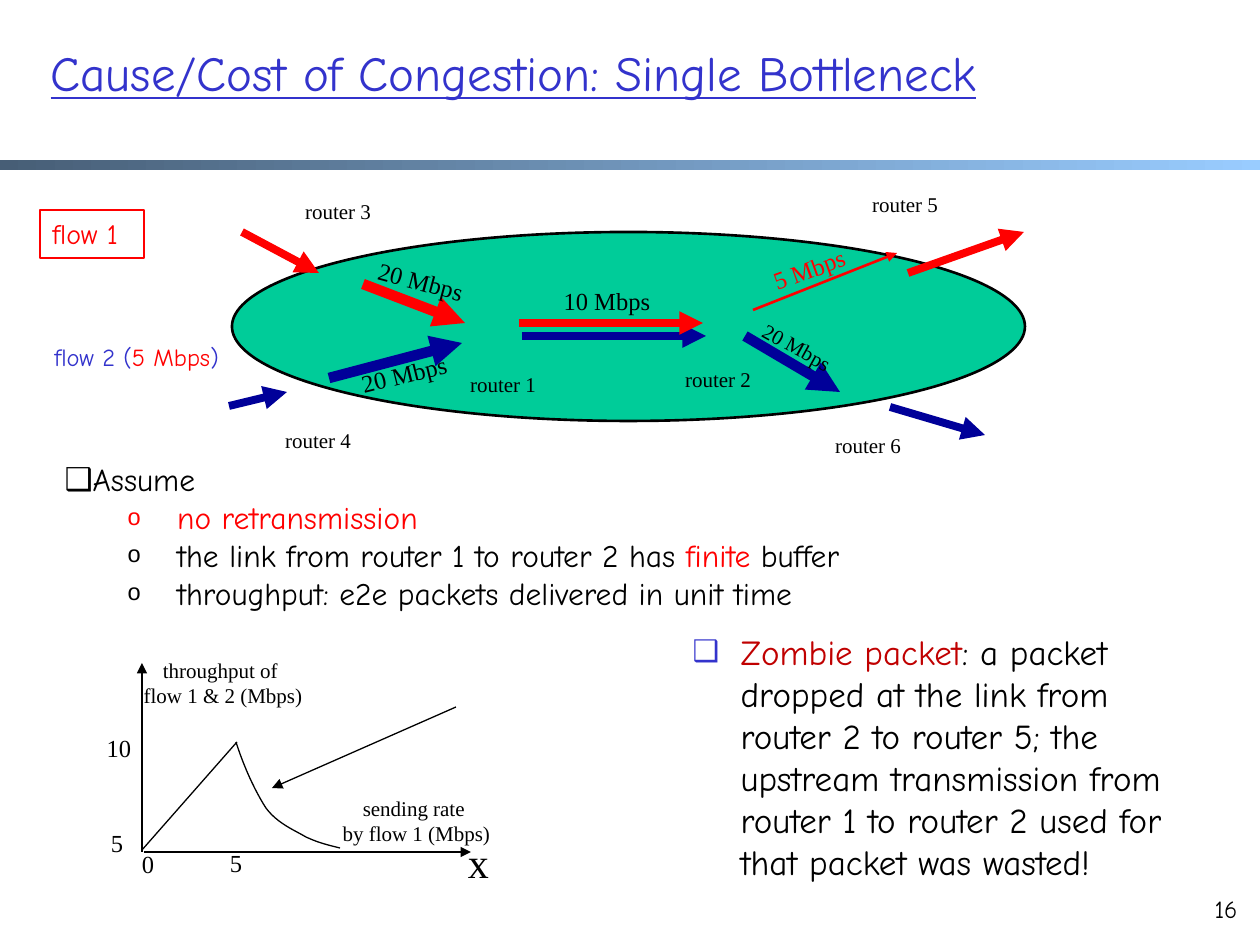
"""Build the single bottleneck congestion slide."""
import copy

import pptx
import pptx.dml.color
import pptx.enum.shapes
import pptx.enum.text
import pptx.oxml.ns
import pptx.oxml.xmlchemy
import pptx.util

SCALE = 914400 / 126
HUES = {"red": "FF0000", "navy": "000099", "blue": "3333CC", "green": "00CC99",
        "black": "000000", "wine": "C00000", "slate": "475E76", "sky": "99CCFF"}
ALIGN = pptx.enum.text.PP_ALIGN
FIT = pptx.enum.text.MSO_AUTO_SIZE
ANCHOR = pptx.enum.text.MSO_ANCHOR
KIND = pptx.enum.shapes.MSO_SHAPE
ROMAN, COMIC = "Times New Roman", "Comic Neue"


def emu(px):
    return int(px * SCALE)


def hue(name):
    return pptx.dml.color.RGBColor.from_string(HUES[name])


def put(item, **vals):
    for key, val in vals.items():
        setattr(item, key, val)


def add(home, tag, **vals):
    node = pptx.oxml.xmlchemy.OxmlElement(tag)
    for key, val in vals.items():
        node.set(key, str(val))
    home.append(node)
    return node


class Deck:
    def __init__(self):
        self.show = pptx.Presentation()
        put(self.show, slide_width=emu(1260), slide_height=emu(945))
        self.page = self.show.slides.add_slide(self.show.slide_layouts[3])
        self.pool = self.page.shapes

    def edge(self, shape, tint, width):
        shape.line.color.rgb = hue(tint)
        shape.line.width = pptx.util.Pt(width)

    def words(self, para, runs, size, face, **form):
        for text, tint in runs:
            for num, part in enumerate(text.split("\n")):
                if num:
                    para.add_line_break()
                run = para.add_run()
                run.text = part
                put(run.font, size=pptx.util.Pt(size), name=face, **form)
                run.font.color.rgb = hue(tint)
        for gap in para._p.findall(pptx.oxml.ns.qn("a:br")):
            gap.append(copy.deepcopy(para.runs[0]._r.rPr))

    def label(self, box, runs, size=14, face=ROMAN, align=ALIGN.CENTER, turn=0):
        if isinstance(runs, str):
            runs = [(runs, "black")]
        shape = self.pool.add_textbox(*map(emu, box))
        shape.rotation = turn
        put(shape.text_frame, word_wrap=False, auto_size=FIT.SHAPE_TO_FIT_TEXT)
        para = shape.text_frame.paragraphs[0]
        para.alignment = align
        self.words(para, runs, size, face)
        return shape

    def holder(self, num, box):
        shape = self.page.placeholders[num]
        put(shape, **dict(zip(("left", "top", "width", "height"), map(emu, box))))
        put(shape.text_frame, auto_size=FIT.NONE, word_wrap=True)
        return shape.text_frame

    def title(self, box, text):
        frame = self.holder(0, box)
        frame.vertical_anchor = ANCHOR.MIDDLE
        frame.paragraphs[0].alignment = ALIGN.LEFT
        self.words(frame.paragraphs[0], [(text, "blue")], 28, COMIC, underline=True)

    def bullets(self, num, box, items, size):
        frame = self.holder(num, box)
        for place, (level, mark, left, hang, pct, tint, runs) in enumerate(items):
            para = frame.add_paragraph() if place else frame.paragraphs[0]
            put(para, level=level, space_before=pptx.util.Pt(0), alignment=ALIGN.LEFT)
            props = para._p.get_or_add_pPr()
            props.set("marL", str(emu(left)))
            props.set("indent", str(-emu(hang)))
            add(add(props, "a:buClr"), "a:srgbClr", val=HUES[tint])
            add(props, "a:buSzPct", val=pct * 1000)
            add(props, "a:buChar", char=mark)
            self.words(para, runs, size, COMIC)

    def shape(self, kind, box):
        shape = self.pool.add_shape(kind, *map(emu, box))
        shape.shadow.inherit = False
        return shape

    def band(self, box, tints):
        shape = self.shape(KIND.RECTANGLE, box)
        shape.line.fill.background()
        shape.fill.gradient()
        shape.fill.gradient_angle = 0
        for stop, tint in zip(shape.fill.gradient_stops, tints):
            stop.color.rgb = hue(tint)

    def oval(self, box, tint):
        shape = self.shape(KIND.OVAL, box)
        shape.fill.solid()
        shape.fill.fore_color.rgb = hue(tint)
        self.edge(shape, "black", 1.5)

    def line(self, ends, tint="black", width=0.75, tip=True):
        kind = pptx.enum.shapes.MSO_CONNECTOR.STRAIGHT
        link = self.pool.add_connector(kind, *map(emu, ends))
        self.edge(link, tint, width)
        if tip:
            add(link.line._get_or_add_ln(), "a:tailEnd", type="triangle")
        add(link._element.spPr, "a:effectLst")

    def curve(self, start, parts, steps=12):
        dots, last = [], start
        for one, two, end in parts:
            for t in (n / steps for n in range(1, steps + 1)):
                u = 1 - t
                dots.append([emu(u**3 * a + 3 * u * u * t * b + 3 * u * t * t * c + t**3 * d)
                             for a, b, c, d in zip(last, one, two, end)])
            last = end
        pen = self.pool.build_freeform(*map(emu, start))
        pen.add_line_segments(dots, close=False)
        shape = pen.convert_to_shape()
        shape.shadow.inherit = False
        shape.fill.background()
        self.edge(shape, "black", 0.75)


def main():
    deck = Deck()
    deck.band((0, 160, 1260, 10), ("slate", "sky"))
    deck.title((38, 0, 1222, 144), "Cause/Cost of Congestion: Single Bottleneck")
    deck.label((42, 336, 205, 42),
               [("flow 2 (", "blue"), ("5 Mbps", "red"), (")", "blue")], 14, COMIC, ALIGN.LEFT)
    flow = deck.label((40, 210, 104, 48), [("flow 1", "red")], 16, COMIC, ALIGN.LEFT)
    deck.edge(flow, "red", 0.75)

    deck.oval((232, 232, 793, 189), "green")
    for tint, width, *ends in (
            ("red", 4.5, 242, 232, 319, 273), ("navy", 4.5, 890, 407, 985, 435),
            ("navy", 6, 745, 336, 840, 392), ("navy", 4.5, 522, 336, 706, 336),
            ("red", 4.5, 908, 273, 1024, 232), ("navy", 6, 329, 378, 462, 343),
            ("navy", 4.5, 229, 406, 287, 392), ("red", 1.5, 753, 310, 897, 253),
            ("red", 6, 363, 284, 465, 323), ("red", 4.5, 519, 323, 703, 323)):
        deck.line(ends, tint, width)
    spots = ((457, 365), (672, 360), (292, 192), (272, 421), (859, 185), (822, 426))
    for num, spot in enumerate(spots, 1):
        deck.label((*spot, 92, 38), f"router {num}", 12)
    for rate, tint, size, turn, *box in (
            (10, "black", 14, 0, 551, 280, 112, 42), (5, "red", 14, 340, 759, 248, 100, 42),
            (20, "black", 14, 15, 365, 260, 112, 42), (20, "black", 14, 346, 348, 353, 112, 42),
            (20, "black", 12, 29, 747, 328, 100, 38)):
        deck.label(box, [(f"{rate} Mbps", tint)], size, turn=turn)

    sub = (1, "o", 102, 39, 75)
    deck.bullets(1, (52, 454, 1102, 165), (
        (0, "❑", 0, 0, 100, "black", [("Assume", "black")]),
        (*sub, "red", [(" no retransmission", "red")]),
        (*sub, "black", [(" the link from router 1 to router 2 has ", "black"),
                         ("finite", "red"), (" buffer", "black")]),
        (*sub, "black", [(" throughput: e2e packets delivered in unit time", "black")])), 18)
    deck.bullets(2, (680, 624, 505, 266), [
        (0, "❑", 48, 48, 85, "blue", [
            ("Zombie packet", "wine"),
            (": a packet dropped at the link from router 2 to router 5; the upstream "
             "transmission from router 1 to router 2 used for that packet was wasted!",
             "black")])], 20)

    deck.line((144, 852, 471, 852))
    deck.line((142, 852, 142, 663))
    deck.line((142, 850, 237, 742), tip=False)
    deck.curve((236, 742), (((244, 767), (255, 791), (266, 808)),
                            ((277, 823), (294, 830), (306, 837)),
                            ((319, 843), (328, 845), (340, 848))))
    deck.line((456, 707, 272, 788))
    for text, size, *box in (
            ("sending rate \nby flow 1 (Mbps)", 12, 330, 789, 173, 63),
            ("throughput of \nflow 1 & 2 (Mbps)", 12, 131, 651, 184, 63),
            ("5", 14, 98, 822, 38, 42), ("10", 14, 94, 727, 50, 42),
            ("5", 14, 217, 842, 38, 42), ("0", 14, 129, 843, 38, 42),
            ("x", 24, 455, 830, 47, 63)):
        deck.label(box, text, size)
    deck.label((1192, 888, 58, 48), "16", 14, COMIC, ALIGN.RIGHT)
    deck.show.save("out.pptx")


if __name__ == "__main__":
    main()
